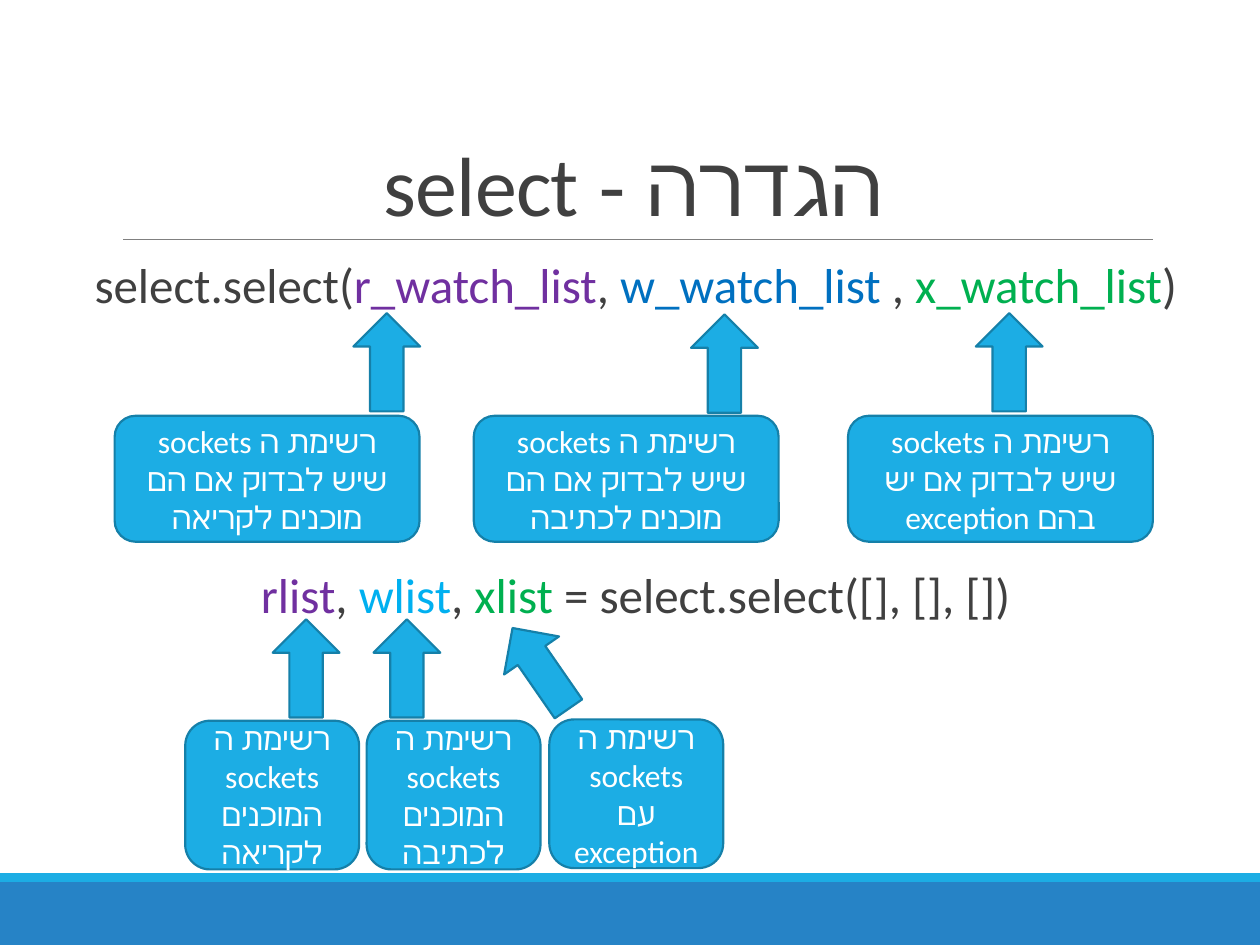
from dataclasses import dataclass

from pptx import Presentation
from pptx.dml.color import RGBColor
from pptx.enum.shapes import MSO_CONNECTOR as Connector, MSO_SHAPE as Shape
from pptx.enum.text import MSO_ANCHOR as Anchor, PP_ALIGN as Align
from pptx.oxml.ns import qn
from pptx.util import Inches, Pt
from lxml.etree import SubElement


@dataclass(frozen=True)
class Theme:
    font: str = "Calibri"
    title_size: float = 48
    code_size: float = 28
    note_size: float = 18
    text: str = "404040"
    white: str = "FFFFFF"
    accent: str = "1CADE4"
    outline: str = "1580A9"
    footer: str = "2683C6"
    rule: str = "808080"
    r_color: str = "7030A0"
    w_color: str = "0070C0"
    w_result_color: str = "00B0F0"
    x_color: str = "00B050"


class SlideBuilder:
    def __init__(self, slide, theme):
        self.shapes = slide.shapes
        self.theme = theme

    def style_run(self, run, size, color):
        run.font.name = self.theme.font
        run.font.size = Pt(size)
        run.font.color.rgb = RGBColor.from_string(color)

    def shape(self, kind, box, fill, outline=None):
        shape = self.shapes.add_shape(kind, *map(Inches, box))
        shape.shadow.inherit = False
        shape.fill.solid()
        shape.fill.fore_color.rgb = RGBColor.from_string(fill)
        if outline:
            shape.line.color.rgb = RGBColor.from_string(outline)
            shape.line.width = Pt(1.25)
        else:
            shape.line.fill.background()
        return shape

    def rule(self, left, right, y):
        line = self.shapes.add_connector(
            Connector.STRAIGHT, Inches(left), Inches(y), Inches(right), Inches(y))
        line.line.color.rgb = RGBColor.from_string(self.theme.rule)
        line.line.width = Pt(0.5)
        SubElement(line._element.spPr, qn("a:effectLst"))

    def text_box(self, box, line_spacing):
        frame = self.shapes.add_textbox(*map(Inches, box)).text_frame
        frame.word_wrap = True
        paragraph = frame.paragraphs[0]
        paragraph.alignment = Align.CENTER
        paragraph.line_spacing = line_spacing
        return frame, paragraph

    def right_to_left(self, paragraph):
        paragraph._p.get_or_add_pPr().set("rtl", "1")

    def title(self, text, box):
        frame, paragraph = self.text_box(box, 0.85)
        frame.vertical_anchor = Anchor.BOTTOM
        paragraph.text = text
        self.right_to_left(paragraph)
        run = paragraph.runs[0]
        self.style_run(run, self.theme.title_size, self.theme.text)
        run._r.get_or_add_rPr().set("spc", "-50")

    def code(self, parts, top):
        frame, paragraph = self.text_box((0.2, top, 9.69, 0.55), 0.9)
        frame.margin_left = frame.margin_right = 0
        for text, color in parts:
            run = paragraph.add_run()
            run.text = text
            self.style_run(run, self.theme.code_size, color)

    def note(self, text, box):
        note = self.shape(Shape.ROUNDED_RECTANGLE, box, self.theme.accent, self.theme.outline)
        frame = note.text_frame
        frame.word_wrap = True
        frame.vertical_anchor = Anchor.MIDDLE
        frame.text = text
        paragraph = frame.paragraphs[0]
        paragraph.alignment = Align.CENTER
        self.right_to_left(paragraph)
        self.style_run(paragraph.runs[0], self.theme.note_size, self.theme.white)

    def arrow(self, left, top, rotation=270):
        arrow = self.shape(Shape.RIGHT_ARROW, (left, top, 0.78, 0.53),
                           self.theme.accent, self.theme.outline)
        arrow.rotation = rotation


def main():
    theme = Theme()
    deck = Presentation()
    deck.slide_width, deck.slide_height = Inches(10), Inches(7.5)
    builder = SlideBuilder(deck.slides.add_slide(deck.slide_layouts[6]), theme)

    # Footer bands and heading
    builder.shape(Shape.RECTANGLE, (0, 7, 10, 0.5), theme.footer)
    builder.shape(Shape.RECTANGLE, (0, 6.93, 10, 0.07), theme.accent)
    builder.rule(0.98, 9.15, 1.9)
    builder.title("הגדרה - select", (0.9, 0.31, 8.25, 1.59))

    # The call and its three arguments
    builder.code([
        ("select.select(", theme.text), ("r_watch_list", theme.r_color),
        (", ", theme.text), ("w_watch_list ", theme.w_color),
        (", ", theme.text), ("x_watch_list", theme.x_color), (")", theme.text),
    ], 2.02)
    arguments = [
        (0.91, "שיש לבדוק אם הם מוכנים לקריאה", 2.68, 2.61),
        (3.76, "שיש לבדוק אם הם מוכנים לכתיבה", 5.36, 2.62),
        (6.73, "שיש לבדוק אם יש בהם exception", 7.62, 2.61),
    ]
    socket_list = "רשימת ה sockets "
    for left, purpose, arrow_left, arrow_top in arguments:
        builder.note(socket_list + purpose, (left, 3.3, 2.42, 1))
        builder.arrow(arrow_left, arrow_top)

    # The three returned lists
    builder.code([
        ("rlist", theme.r_color), (", ", theme.text),
        ("wlist", theme.w_result_color), (", ", theme.text),
        ("xlist", theme.x_color), (" = select.select([], [], [])", theme.text),
    ], 4.48)
    results = [
        (1.47, 5.72, "המוכנים לקריאה", 2.04, 270),
        (2.91, 5.72, "המוכנים לכתיבה", 2.84, 270),
        (4.36, 5.71, "עם exception", 3.9, 235.3),
    ]
    for left, top, content, arrow_left, rotation in results:
        builder.note(socket_list + content, (left, top, 1.38, 1.18))
        builder.arrow(arrow_left, 5.04, rotation)

    deck.save("out.pptx")


if __name__ == "__main__":
    main()
